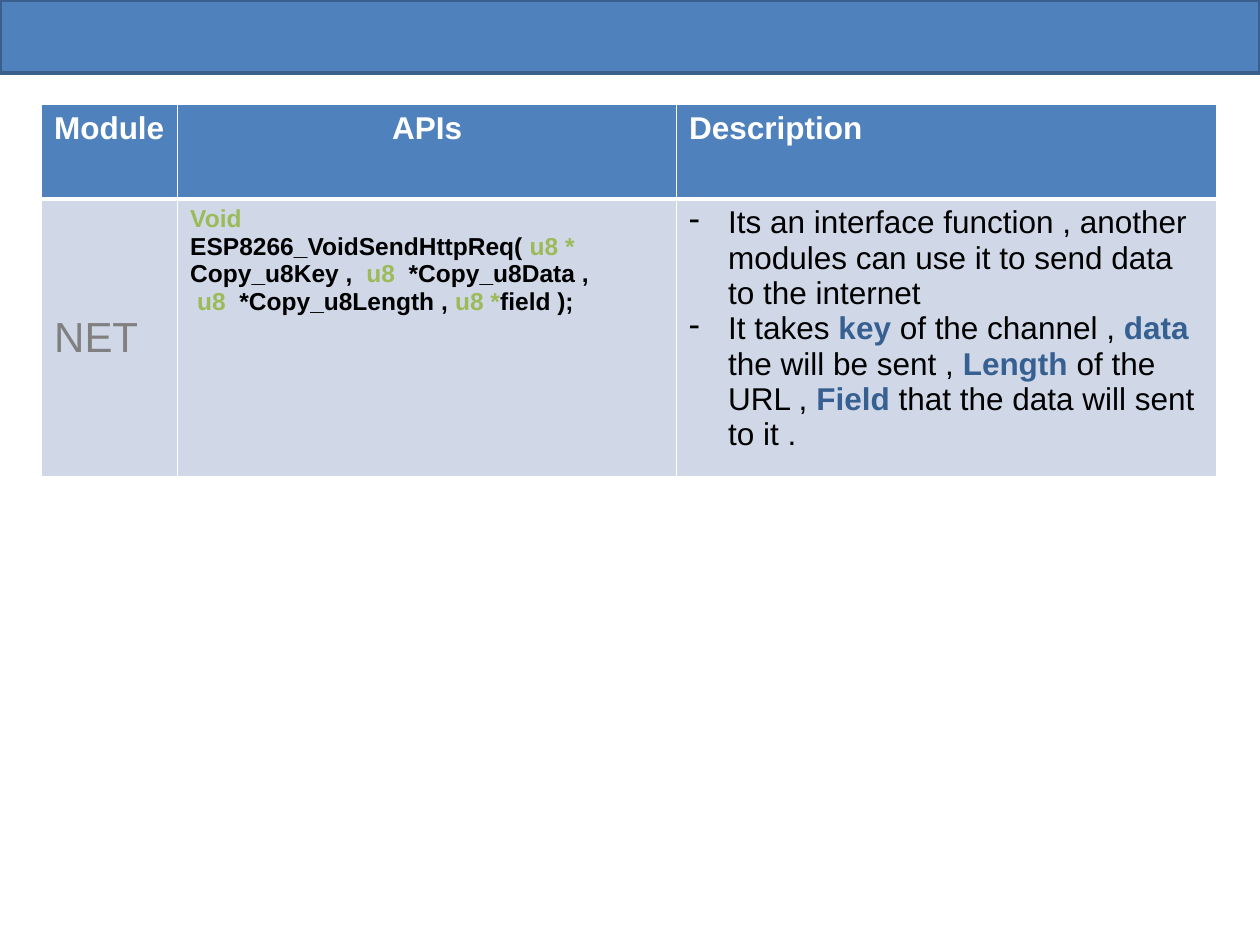
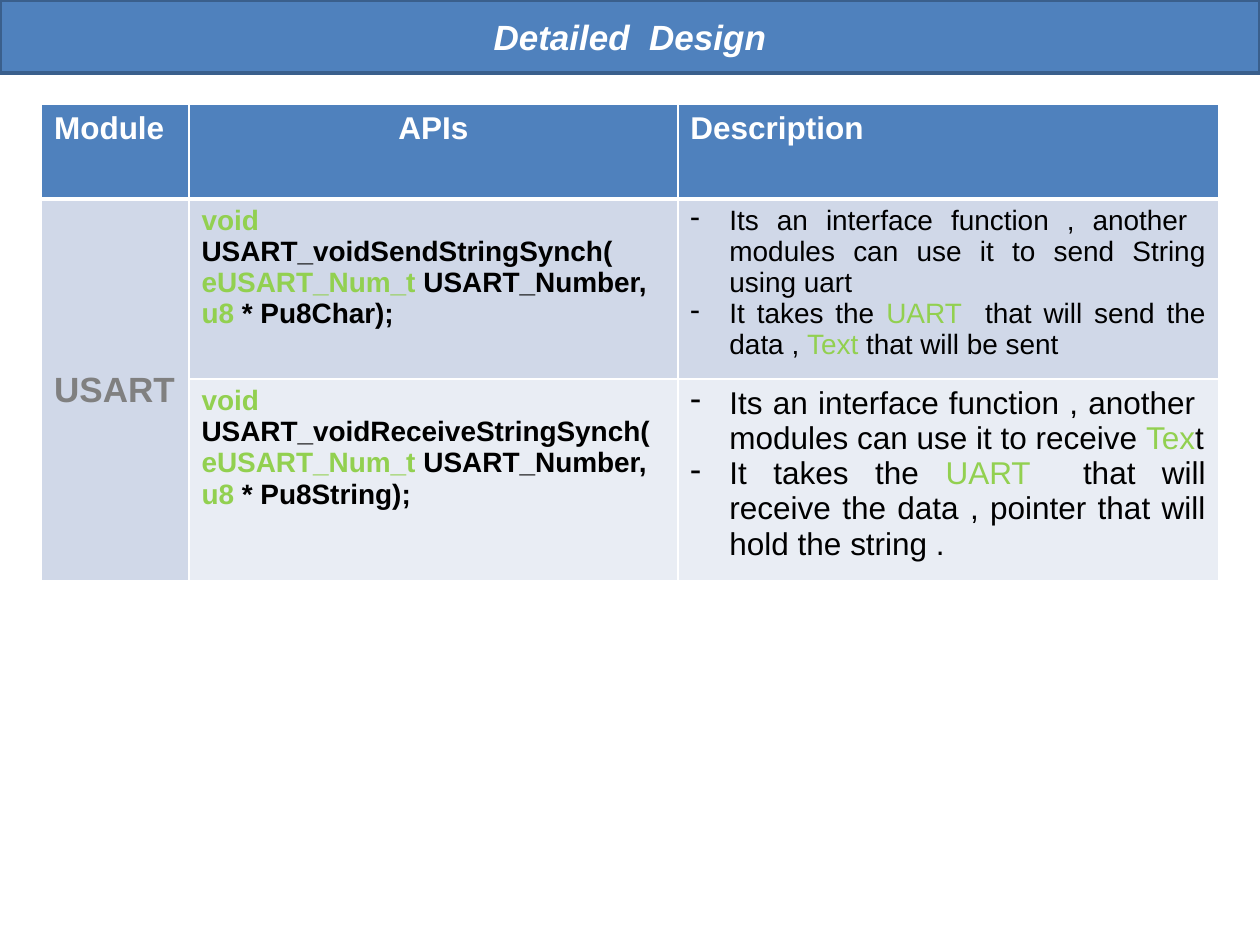
import pptx
import pptx.util
import pptx.dml.color
import pptx.enum.shapes
import pptx.enum.text
import lxml.etree

IN = pptx.util.Inches
PT = pptx.util.Pt
ALIGN = pptx.enum.text.PP_ALIGN
MID = pptx.enum.text.MSO_ANCHOR.MIDDLE

WIDE, HIGH = 10, 7.5
EDGE, TOP, HEAD = 0.33, 0.83, 0.75
BLUE, RIM, WHITE, BLACK, GREY = "4F81BD", "3A5F8C", "FFFFFF", "000000", "808080"
OLIVE, LIME, NAVY = "9BBB59", "92D050", "376092"
BANDS = ["D0D8E8", "E9EDF4"]
NAMES = ["Module", "APIs", "Description"]

SLIDES = [
    dict(
        title="", module="NET", size=24, bold=False, align=ALIGN.LEFT,
        cols=[1.08, 3.96, 4.29],
        rows=[dict(
            high=2.2, code=14, note=18,
            api=[
                [("Void", OLIVE)],
                ["ESP8266_VoidSendHttpReq( ", ("u8 * ", OLIVE), "Copy_u8Key ,  ",
                 ("u8  ", OLIVE), "*Copy_u8Data ,"],
                [" ", ("u8", OLIVE), "  *Copy_u8Length , ", ("u8 *", OLIVE), "field );"],
            ],
            about=[
                ["Its an interface function , another  modules can use it "
                 "to send data to the internet"],
                ["It takes ", ("key", NAVY), " of the channel , ", ("data", NAVY),
                 " the will be sent , ", ("Length", NAVY), " of the URL , ",
                 ("Field", NAVY), " that the data will sent to it ."],
            ],
        )],
    ),
    dict(
        title="Detailed  Design", module="USART", size=20, bold=True, align=ALIGN.JUSTIFY,
        cols=[1.17, 3.88, 4.29],
        rows=[
            dict(
                high=1.43, code=16, note=16,
                api=[
                    [("void ", LIME), "USART_voidSendStringSynch("],
                    [("eUSART_Num_t ", LIME), "USART_Number, ", ("u8", LIME), " * Pu8Char);"],
                ],
                about=[
                    ["Its an interface function , another  modules can use it "
                     "to send String using uart"],
                    ["It takes the ", ("UART ", LIME), " that will send the data , ",
                     ("Text", LIME), " that will be sent"],
                ],
            ),
            dict(
                high=1.6, code=16, note=18,
                api=[
                    [("void ", LIME), "USART_voidReceiveStringSynch(",
                     ("eUSART_Num_t ", LIME), "USART_Number, ", ("u8 ", LIME), "* Pu8String);"],
                ],
                about=[
                    ["Its an interface function , another  modules can use it to receive ",
                     ("Tex", LIME), "t"],
                    ["It takes the ", ("UART ", LIME),
                     " that will receive the data , pointer that will hold the string ."],
                ],
            ),
        ],
    ),
]


def rgb(code):
    return pptx.dml.color.RGBColor.from_string(code)


def add(node, tag, **attrs):
    name = pptx.oxml.ns.qn(tag)
    return lxml.etree.SubElement(node, name, {k: str(v) for k, v in attrs.items()})


def write(frame, paras, size, bold=True, align=ALIGN.LEFT, color=BLACK,
          italic=False, dash=False):
    for i, parts in enumerate(paras):
        para = frame.add_paragraph() if i else frame.paragraphs[0]
        para.alignment = align
        if dash:
            props = para._p.get_or_add_pPr()
            props.set("marL", str(IN(0.31)))
            props.set("indent", str(-IN(0.31)))
            add(props, "a:buFontTx")
            add(props, "a:buChar", char="-")
        font = para.font
        font.name, font.size, font.bold, font.italic = "Arial", PT(size), bold, italic
        for part in parts:
            text, tint = (part, color) if isinstance(part, str) else part
            run = para.add_run()
            run.text = text
            run.font.color.rgb = rgb(tint)
            if tint == NAVY:
                run.font.bold = True


def style(cell, fill, top, base):
    props = cell._tc.get_or_add_tcPr()
    for side, width in zip("LRTB", (1, 1, top, base)):
        line = add(props, "a:ln" + side, w=PT(width))
        add(add(line, "a:solidFill"), "a:srgbClr", val=WHITE)
    cell.fill.solid()
    cell.fill.fore_color.rgb = rgb(fill)


def band(slide, title):
    bar = slide.shapes.add_shape(pptx.enum.shapes.MSO_SHAPE.RECTANGLE, 0, 0, IN(WIDE), IN(0.58))
    bar.shadow.inherit = False
    bar.fill.solid()
    bar.fill.fore_color.rgb = rgb(BLUE)
    bar.line.color.rgb = rgb(RIM)
    bar.line.width = PT(2.08)
    if title:
        bar.text_frame.vertical_anchor = MID
        write(bar.text_frame, [[title]], 20, align=ALIGN.CENTER, color=WHITE, italic=True)


def grid(slide, page):
    rows, cols = page["rows"], page["cols"]
    highs = [HEAD] + [row["high"] for row in rows]
    table = slide.shapes.add_table(len(highs), len(cols), IN(EDGE), IN(TOP),
                                   IN(sum(cols)), IN(sum(highs))).table
    table.first_row = table.horz_banding = False
    for col, width in zip(table.columns, cols):
        col.width = IN(width)
    for r, high in enumerate(highs):
        table.rows[r].height = IN(high)
        fill = BANDS[(r - 1) % 2] if r else BLUE
        for c in range(len(cols)):
            style(table.cell(r, c), fill, 3 if r == 1 else 1, 1 if r else 3)
    for c, name in enumerate(NAMES):
        write(table.cell(0, c).text_frame, [[name]], 18, color=WHITE,
              align=ALIGN.CENTER if c == 1 else ALIGN.LEFT)
    first = table.cell(1, 0)
    if len(rows) > 1:
        first.merge(table.cell(len(rows), 0))
    first.vertical_anchor = MID
    write(first.text_frame, [[page["module"]]], page["size"], page["bold"], color=GREY)
    for r, row in enumerate(rows, 1):
        write(table.cell(r, 1).text_frame, row["api"], row["code"])
        write(table.cell(r, 2).text_frame, row["about"], row["note"], False,
              page["align"], dash=True)


def main():
    deck = pptx.Presentation()
    deck.slide_width, deck.slide_height = IN(WIDE), IN(HIGH)
    for page in SLIDES:
        slide = deck.slides.add_slide(deck.slide_layouts[6])
        band(slide, page["title"])
        grid(slide, page)
    deck.save("out.pptx")


if __name__ == "__main__":
    main()
